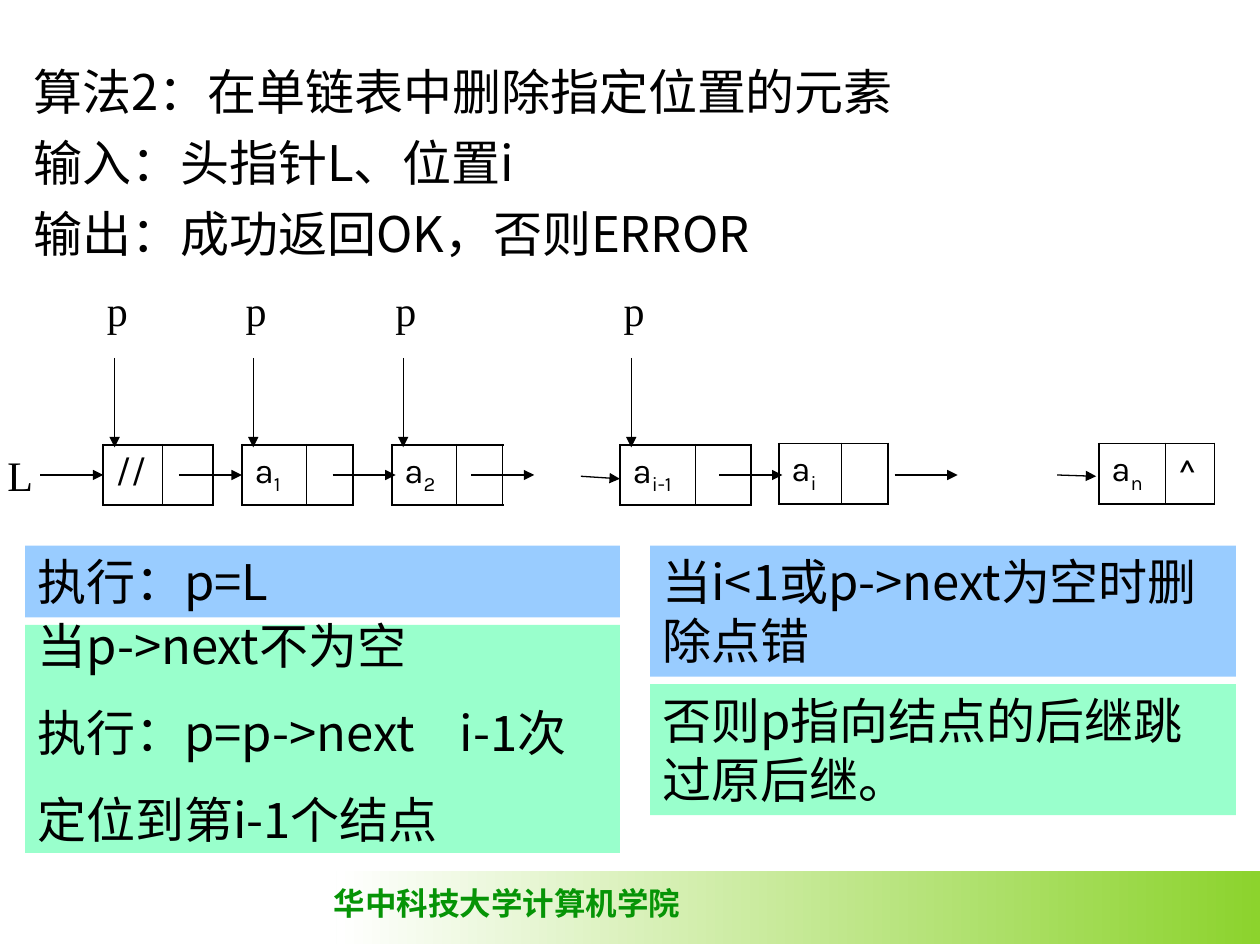
from pptx import Presentation
from pptx.dml.color import RGBColor
from pptx.enum.shapes import MSO_CONNECTOR, MSO_SHAPE
from pptx.enum.text import MSO_ANCHOR, MSO_AUTO_SIZE, PP_ALIGN
from pptx.oxml.ns import qn
from pptx.util import Inches, Pt
from lxml.etree import SubElement

BLACK = RGBColor(0x00, 0x00, 0x00)
WHITE = RGBColor(0xFF, 0xFF, 0xFF)
BLUE = RGBColor(0x99, 0xCC, 0xFF)
MINT = RGBColor(0x99, 0xFF, 0xCC)
LIME = RGBColor(0x8C, 0xD3, 0x2D)
GREEN = RGBColor(0x06, 0x94, 0x06)
SANS, SERIF, NODE_FONT = "Noto Sans CJK SC", "Times New Roman", "Karla"

# Content
FOOTER = "华中科技大学计算机学院"
HEADING = ["算法2：在单链表中删除指定位置的元素",
           "输入：头指针L、位置i",
           "输出：成功返回OK，否则ERROR"]
# left, top, column widths, value, subscript, link text
NODES = [
    (0.82, 3.53, (0.47, 0.40), "//", "", ""),
    (1.92, 3.53, (0.51, 0.37), "a", "1", ""),
    (3.11, 3.53, (0.51, 0.37), "a", "2", ""),
    (4.92, 3.53, (0.60, 0.44), "a", "i-1", ""),
    (6.18, 3.52, (0.50, 0.37), "a", "i", ""),
    (8.72, 3.52, (0.53, 0.39), "a", "n", "^"),
]
NODE_HEIGHT = 0.48
LINK_STARTS = [0.32, 1.42, 2.64, 3.74, 5.71, 7.10]
LINK_LENGTH, LINK_Y = 0.5, 3.77
GAP_LINKS = [(4.61, 3.78, 4.92, 3.80), (8.39, 3.77, 8.70, 3.78)]
POINTER_NODES = NODES[:4]
# left, top, width, height, fill, lines, line spacing, space before
STEPS = [
    (0.20, 4.33, 4.72, 0.57, BLUE, ["执行：p=L"], None, 0),
    (0.20, 4.96, 4.72, 1.81, MINT,
     ["当p->next不为空", "执行：p=p->next\ti-1次", "定位到第i-1个结点"], 0.7, 26.2),
    (5.16, 4.33, 4.65, 1.04, BLUE, ["当i<1或p->next为空时删除点错"], None, 0),
    (5.16, 5.43, 4.65, 1.04, MINT, ["否则p指向结点的后继跳过原后继。"], None, 0),
]
STEP_TAB = 3.35

presentation = Presentation()
presentation.slide_width, presentation.slide_height = Inches(10), Inches(7.5)
slide = presentation.slides.add_slide(presentation.slide_layouts[6])


def style(paragraph, size, name, color=BLACK, bold=False):
    font = paragraph.font
    font.size, font.name, font.bold = Pt(size), name, bold
    font.color.rgb = color
    defaults = paragraph._p.pPr.find(qn("a:defRPr"))
    SubElement(defaults, qn("a:ea"), typeface=SANS)


def write(frame, lines, size, name, color=BLACK, bold=False, gap=0, spacing=None):
    frame.vertical_anchor = MSO_ANCHOR.TOP
    for index, line in enumerate(lines):
        paragraph = frame.add_paragraph() if index else frame.paragraphs[0]
        paragraph.text = line
        paragraph.alignment = PP_ALIGN.LEFT
        if spacing:
            paragraph.line_spacing = spacing
        if index and gap:
            paragraph.space_before = Pt(gap)
        if "\t" in line:
            tabs = SubElement(paragraph._p.get_or_add_pPr(), qn("a:tabLst"))
            SubElement(tabs, qn("a:tab"), pos=str(Inches(STEP_TAB)), algn="l")
        style(paragraph, size, name, color, bold)


def add_text(left, top, width, height, lines, *font, wrap=True, **options):
    box = slide.shapes.add_textbox(Inches(left), Inches(top), Inches(width), Inches(height))
    box.text_frame.word_wrap = wrap
    write(box.text_frame, lines, *font, **options)


def add_rectangle(left, top, width, height):
    shape = slide.shapes.add_shape(MSO_SHAPE.RECTANGLE, Inches(left), Inches(top),
                                   Inches(width), Inches(height))
    shape.shadow.inherit = False
    shape.line.fill.background()
    return shape


def add_arrow(*ends):
    arrow = slide.shapes.add_connector(MSO_CONNECTOR.STRAIGHT, *map(Inches, ends))
    arrow.line.color.rgb = BLACK
    arrow.line.width = Pt(0.75)
    SubElement(arrow.line._get_or_add_ln(), qn("a:tailEnd"), type="triangle")
    SubElement(arrow._element.spPr, qn("a:effectLst"))


def set_borders(cell, inner_side):
    properties = cell._tc.get_or_add_tcPr()
    for side in ("lnL", "lnR", "lnT", "lnB"):
        width = 0.45 if side == inner_side else 1.08
        line = SubElement(properties, qn(f"a:{side}"), w=str(Pt(width)))
        SubElement(SubElement(line, qn("a:solidFill")), qn("a:srgbClr"), val=str(BLACK))
    cell.fill.background()


def add_node(left, top, widths, value, subscript, link):
    table = slide.shapes.add_table(1, 2, Inches(left), Inches(top), Inches(sum(widths)),
                                   Inches(NODE_HEIGHT)).table
    table.first_row = table.horz_banding = False
    for column, width in zip(table.columns, widths):
        column.width = Inches(width)
    for cell, text, inner_side in zip(table.rows[0].cells, (value, link), ("lnR", "lnL")):
        set_borders(cell, inner_side)
        write(cell.text_frame, [text], 20, NODE_FONT)
    if subscript:
        run = table.cell(0, 0).text_frame.paragraphs[0].add_run()
        run.text = subscript
        run._r.get_or_add_rPr().set("baseline", "-25000")


# Footer band
band = add_rectangle(2.67, 6.91, 7.33, 0.58)
band.fill.gradient()
band.fill.gradient_angle = 180
for stop, color in zip(band.fill.gradient_stops, (LIME, WHITE)):
    stop.color.rgb = color
add_text(2.55, 6.97, 2.95, 0.4, [FOOTER], 18, SERIF, GREEN, True, wrap=False)

# Algorithm heading
add_text(0.17, 0.44, 9.58, 1.89, HEADING, 28, SANS, gap=7)

# Linked list
for node in NODES:
    add_node(*node)
add_text(-0.04, 3.52, 0.39, 0.5, ["L"], 24, SERIF)
for start in LINK_STARTS:
    add_arrow(start, LINK_Y, start + LINK_LENGTH, LINK_Y)
for ends in GAP_LINKS:
    add_arrow(*ends)

# Pointer p above each visited node
for left, *_ in POINTER_NODES:
    add_text(left - 0.07, 2.21, 0.39, 0.5, ["p"], 24, SERIF)
    add_arrow(left + 0.09, 2.84, left + 0.09, 3.55)

# Algorithm steps
for left, top, width, height, color, lines, spacing, gap in STEPS:
    step = add_rectangle(left, top, width, height)
    step.fill.solid()
    step.fill.fore_color.rgb = color
    step.text_frame.word_wrap = True
    step.text_frame.auto_size = MSO_AUTO_SIZE.SHAPE_TO_FIT_TEXT
    write(step.text_frame, lines, 28, SANS, gap=gap, spacing=spacing)

presentation.save("out.pptx")
